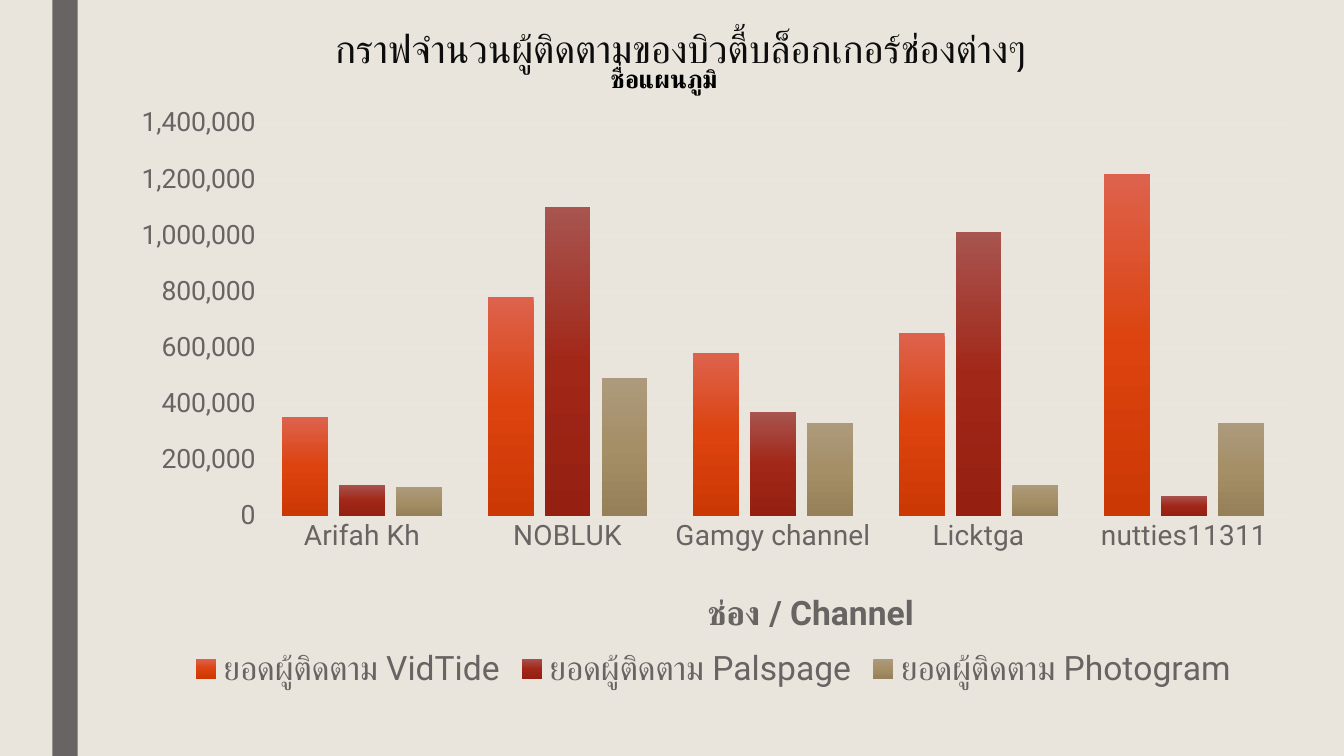
import pptx
import pptx.chart.data
import pptx.dml.color
import pptx.enum.chart
import pptx.enum.shapes
import pptx.enum.text
import pptx.oxml
import pptx.oxml.ns
import pptx.util

RGB = pptx.dml.color.RGBColor
BACKGROUND = RGB(0xE9, 0xE5, 0xDC)
GREY = RGB(0x69, 0x64, 0x64)
GRID = RGB(0xE9, 0xE8, 0xE8)
INK = RGB(0x0D, 0x0D, 0x0D)
BLACK = RGB(0, 0, 0)

TITLE = "กราฟจำนวนผู้ติดตามของบิวตี้บล็อกเกอร์ช่องต่างๆ"
CHART_TITLE = "ชื่อแผนภูมิ"
AXIS_TITLE = "ช่อง / Channel"
CHANNELS = ["Arifah Kh", "NOBLUK", "Gamgy channel", "Licktga", "nutties11311"]
# name, followers per channel, gradient from top to bottom
SERIES = [
    ("ยอดผู้ติดตาม VidTide", (350000, 780000, 580000, 650000, 1220000),
     (RGB(0xDD, 0x62, 0x4D), RGB(0xDC, 0x43, 0x0E), RGB(0xCC, 0x38, 0x04))),
    ("ยอดผู้ติดตาม Palspage", (110000, 1100000, 370000, 1010000, 70000),
     (RGB(0xA8, 0x54, 0x4F), RGB(0xA1, 0x28, 0x19), RGB(0x95, 0x1F, 0x11))),
    ("ยอดผู้ติดตาม Photogram", (100000, 490000, 330000, 110000, 330000),
     (RGB(0xAC, 0x9A, 0x7C), RGB(0xA5, 0x8F, 0x67), RGB(0x96, 0x80, 0x59))),
]

# left, top, width, height in inches
SLIDE_W, SLIDE_H = 13.33, 7.5
BAR_BOX = (0.52, 0, 0.25, SLIDE_H)
TITLE_BOX = (1.5, 0.17, 10.5, 0.66)
CHART_BOX = (1.15, 0.41, 11.85, 6.49)
# shares of the chart's size
PLOT_SHARE = {"x": 0.12, "y": 0.125, "w": 0.86, "h": 0.6}
CHART_TITLE_SHARE = {"x": 0.41, "y": 0.03}
AXIS_TITLE_SHARE = {"x": 0.49, "y": 0.83}


def inches(box):
    return [pptx.util.Inches(v) for v in box]


def set_font(font, size, color, name="Roboto", bold=False):
    values = {"size": pptx.util.Pt(size), "name": name, "bold": bold}
    for key, value in values.items():
        setattr(font, key, value)
    font.color.rgb = color


def place(element, share, index):
    """Give a chart part a manual layout, as child number index."""
    for old in element.findall(pptx.oxml.ns.qn("c:layout")):
        element.remove(old)
    target = '<c:layoutTarget val="inner"/>' if "w" in share else ""
    modes = "".join(f'<c:{k}Mode val="edge"/>' for k in "xy")
    sizes = "".join(f'<c:{k} val="{v}"/>' for k, v in share.items())
    element.insert(index, pptx.oxml.parse_xml(
        f'<c:layout {pptx.oxml.ns.nsdecls("c")}><c:manualLayout>'
        f'{target}{modes}{sizes}</c:manualLayout></c:layout>'))


def fill_gradient(fmt, colors):
    fmt.fill.solid()
    stops = "".join(
        f'<a:gs pos="{i * 50000}"><a:srgbClr val="{c}"/></a:gs>'
        for i, c in enumerate(colors))
    gradient = pptx.oxml.parse_xml(
        f'<a:gradFill {pptx.oxml.ns.nsdecls("a")} rotWithShape="1">'
        f'<a:gsLst>{stops}</a:gsLst><a:lin ang="5400000" scaled="0"/></a:gradFill>')
    solid = next(fmt._element.iter(pptx.oxml.ns.qn("a:solidFill")))
    solid.getparent().replace(solid, gradient)


def write_title(title, text, share, size, color, name):
    p = title.text_frame.paragraphs[0]
    r = p.add_run()
    r.text = text
    set_font(r.font, size, color, name, True)
    place(title._element, share, 1)


def add_title(s):
    title = s.shapes.title
    title.left, title.top, title.width, title.height = inches(TITLE_BOX)
    tf = title.text_frame
    tf.word_wrap = True
    tf.vertical_anchor = pptx.enum.text.MSO_ANCHOR.MIDDLE
    p = tf.paragraphs[0]
    p.alignment = pptx.enum.text.PP_ALIGN.CENTER
    p.line_spacing = 0.94
    r = p.add_run()
    r.text = TITLE
    set_font(r.font, 28, INK)


def add_followers_chart(s):
    data = pptx.chart.data.CategoryChartData(number_format="#,##0")
    data.categories = CHANNELS
    for name, values, _ in SERIES:
        data.add_series(name, values)
    kind = pptx.enum.chart.XL_CHART_TYPE.COLUMN_CLUSTERED
    chart = s.shapes.add_chart(kind, *inches(CHART_BOX), data).chart
    set_font(chart.font, 10, BLACK, "Karla")

    plot = chart.plots[0]
    plot.gap_width, plot.overlap = 100, -24
    plot.vary_by_categories = False
    for series, (_, _, colors) in zip(plot.series, SERIES):
        fill_gradient(series.format, colors)

    for axis, size in ((chart.category_axis, 20), (chart.value_axis, 19)):
        axis.major_tick_mark = pptx.enum.chart.XL_TICK_MARK.NONE
        axis.minor_tick_mark = pptx.enum.chart.XL_TICK_MARK.NONE
        set_font(axis.tick_labels.font, size, GREY)
    value_axis = chart.value_axis
    value_axis.minimum_scale, value_axis.maximum_scale = 0, 1400000
    value_axis.major_unit = 200000
    value_axis.tick_labels.number_format = "#,##0"
    value_axis.tick_labels.number_format_is_linked = False
    value_axis.format.line.fill.background()
    for line in (chart.category_axis.format.line,
                 value_axis.major_gridlines.format.line):
        line.color.rgb = GRID
        line.width = pptx.util.Pt(0.75)

    write_title(chart.chart_title, CHART_TITLE, CHART_TITLE_SHARE, 18, BLACK, "Karla")
    write_title(chart.category_axis.axis_title, AXIS_TITLE, AXIS_TITLE_SHARE,
                24, GREY, "Roboto")
    place(chart._chartSpace.chart.plotArea, PLOT_SHARE, 0)

    chart.has_legend = True
    chart.legend.position = pptx.enum.chart.XL_LEGEND_POSITION.BOTTOM
    chart.legend.include_in_layout = False
    set_font(chart.legend.font, 24, GREY)


def main():
    prs = pptx.Presentation()
    prs.slide_width, prs.slide_height = inches((SLIDE_W, SLIDE_H))
    s = prs.slides.add_slide(prs.slide_layouts[5])
    s.background.fill.solid()
    s.background.fill.fore_color.rgb = BACKGROUND

    bar = s.shapes.add_shape(pptx.enum.shapes.MSO_SHAPE.RECTANGLE, *inches(BAR_BOX))
    bar.shadow.inherit = False
    bar.fill.solid()
    bar.fill.fore_color.rgb = GREY
    bar.line.fill.background()

    add_title(s)
    add_followers_chart(s)
    prs.save("out.pptx")


if __name__ == "__main__":
    main()
